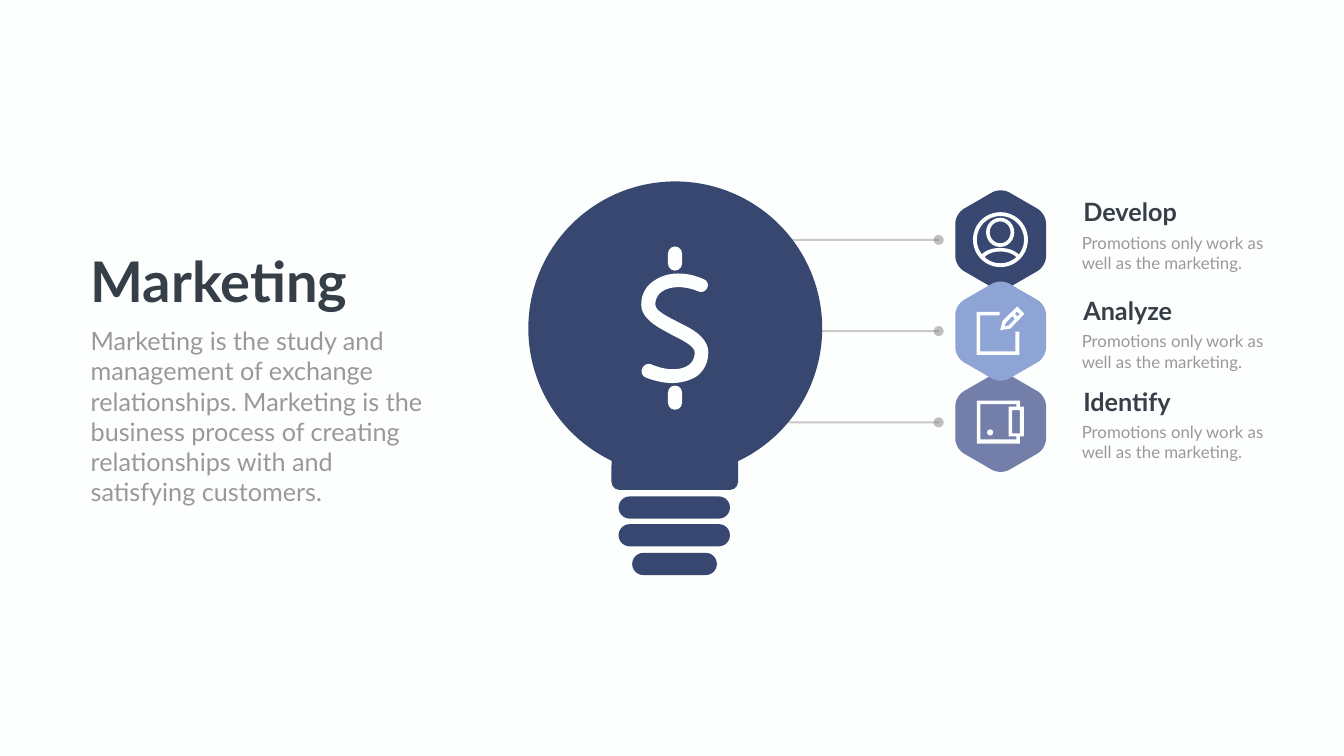
"""Build the Marketing slide: a light bulb with three steps beside it."""
import math

import pptx
import pptx.dml.color
import pptx.enum.shapes
import pptx.oxml
import pptx.oxml.ns
import pptx.util
from lxml import etree

COLORS = {
    "paper": "FDFFFE", "navy": "37476F", "sky": "8EA4D5", "slate": "747FA9",
    "heading": "363E48", "body": "999999", "leader": "949494", "dot": "808080",
}
COLORS = {name: pptx.dml.color.RGBColor.from_string(code) for name, code in COLORS.items()}
PRESET = pptx.enum.shapes.MSO_SHAPE
qn = pptx.oxml.ns.qn

prs = pptx.Presentation()
prs.slide_width = pptx.util.Inches(26.66)
prs.slide_height = pptx.util.Inches(15)
column = prs.slide_width / 26.66
row = prs.slide_height / 15
slide = prs.slides.add_slide(prs.slide_layouts[6])
slide.background.fill.solid()
slide.background.fill.fore_color.rgb = COLORS["paper"]


def add_preset(kind, left, top, width, height, color, *adjustments):
    """Draw a plain preset shape placed in columns and rows."""
    shape = slide.shapes.add_shape(
        kind, round(left * column), round(top * row), round(width * column), round(height * row))
    for index, value in enumerate(adjustments):
        shape.adjustments[index] = value
    shape.fill.solid()
    shape.fill.fore_color.rgb = COLORS[color]
    shape.line.fill.background()
    shape.shadow.inherit = False
    return shape


def add_outline(contours, color):
    """Fill closed contours of points (x, y) and Bezier curves (x1, y1, x2, y2, x, y)."""
    builder = None
    for start, *segments in contours:
        points = [start]
        for segment in segments:
            if len(segment) == 2:
                points.append(segment)
                continue
            corners = [points[-1], segment[:2], segment[2:4], segment[4:]]
            for step in range(1, 13):
                t = step / 12
                weights = [math.comb(3, k) * t**k * (1 - t) ** (3 - k) for k in range(4)]
                points.append(tuple(
                    sum(w * corner[axis] for w, corner in zip(weights, corners)) for axis in (0, 1)))
        placed = [(round(x * column), round(y * row)) for x, y in points]
        if builder is None:
            builder = slide.shapes.build_freeform(*placed[0])
        else:
            builder.move_to(*placed[0])
        builder.add_line_segments(placed[1:], close=True)
    shape = builder.convert_to_shape()
    shape.fill.solid()
    shape.fill.fore_color.rgb = COLORS[color]
    shape.line.fill.background()
    shape.shadow.inherit = False


step_centers = [4.76 + 1.81 * index for index in range(3)]
for center in step_centers:
    leader = slide.shapes.add_connector(
        pptx.enum.shapes.MSO_CONNECTOR.STRAIGHT,
        round(14.58 * column), round(center * row), round(18.63 * column), round(center * row))
    leader.line.color.rgb = COLORS["leader"]
    leader.line.width = pptx.util.Pt(3)
    etree.SubElement(leader._element.spPr, qn("a:effectLst"))
    dot = add_preset(PRESET.OVAL, 18.52, center - 0.1, 0.2, 0.2, "dot")
    for part in (leader, dot):
        for tint in part._element.iter(qn("a:srgbClr")):
            etree.SubElement(tint, qn("a:alpha"), val="50000")

for left, top, width in [(12.27, 9.85, 2.21), (12.27, 10.4, 2.21), (12.54, 10.97, 1.68)]:
    add_preset(PRESET.ROUNDED_RECTANGLE, left, top, width, 0.44, "navy", 0.5)
add_preset(PRESET.OVAL, 10.48, 3.6, 5.83, 5.83, "navy")
add_preset(PRESET.ROUND_2_SAME_RECTANGLE, 12.13, 9.14, 2.51, 0.58, "navy", 0, 0.27)

dollar_curve = [
    (13.33, 7.6), (13.17, 7.6, 12.99, 7.56, 12.81, 7.49),
    (12.74, 7.46, 12.71, 7.38, 12.74, 7.31), (12.77, 7.24, 12.85, 7.2, 12.92, 7.23),
    (13.2, 7.35, 13.48, 7.36, 13.65, 7.25), (13.74, 7.19, 13.78, 7.1, 13.78, 6.99),
    (13.78, 6.87, 13.54, 6.75, 13.32, 6.64), (13.2, 6.57, 13.05, 6.5, 12.94, 6.41),
    (12.8, 6.3, 12.72, 6.18, 12.72, 6.04), (12.72, 5.84, 12.82, 5.66, 12.99, 5.56),
    (13.24, 5.39, 13.61, 5.38, 13.96, 5.54), (14.03, 5.57, 14.06, 5.64, 14.03, 5.71),
    (14, 5.78, 13.92, 5.81, 13.85, 5.78), (13.59, 5.67, 13.3, 5.67, 13.14, 5.78),
    (13.05, 5.84, 13, 5.93, 13, 6.04), (13, 6.17, 13.24, 6.28, 13.45, 6.39),
    (13.59, 6.46, 13.73, 6.53, 13.83, 6.61), (13.98, 6.73, 14.05, 6.86, 14.05, 6.99),
    (14.05, 7.2, 13.96, 7.37, 13.8, 7.48), (13.67, 7.55, 13.51, 7.6, 13.33, 7.6),
]
add_outline([dollar_curve], "paper")
for bar_top in (4.89, 7.65):
    add_preset(PRESET.ROUNDED_RECTANGLE, 13.25, bar_top, 0.28, 0.48, "paper", 0.5)

for index, color in [(0, "navy"), (2, "slate"), (1, "sky")]:
    corners = [(19.85 + 1.04 * math.sin(k * math.pi / 3),
                step_centers[index] - 1.04 * math.cos(k * math.pi / 3)) for k in range(6)]
    hexagon = []
    for k, (x, y) in enumerate(corners):
        (before_x, before_y), (after_x, after_y) = corners[k - 1], corners[(k + 1) % 6]
        entry, control_in = [(x + s * (before_x - x), y + s * (before_y - y)) for s in (0.2, 0.08)]
        leave, control_out = [(x + s * (after_x - x), y + s * (after_y - y)) for s in (0.2, 0.08)]
        hexagon += [entry, control_in + control_out + leave]
    add_outline([hexagon], color)

add_preset(PRESET.DONUT, 19.3, 4.21, 1.09, 1.09, "paper", 0.07)
add_preset(PRESET.DONUT, 19.56, 4.32, 0.56, 0.58, "paper", 0.13)
shoulders = [
    (19.47, 5.05), (19.56, 4.96, 19.69, 4.92, 19.84, 4.92),
    (19.98, 4.92, 20.12, 4.96, 20.21, 5.05), (20.16, 5.1),
    (20.09, 5.03, 19.97, 4.99, 19.84, 4.99), (19.71, 4.99, 19.6, 5.03, 19.53, 5.1),
]
add_outline([shoulders], "paper")

note_frame = [
    (19.37, 6.19), (19.83, 6.19), (19.83, 6.26), (19.44, 6.26), (19.44, 6.97),
    (20.14, 6.97), (20.14, 6.58), (20.22, 6.58), (20.22, 7.04), (19.37, 7.04),
]
pencil = [(20.18, 6.08), (20.32, 6.23), (20.04, 6.52), (19.84, 6.55), (19.89, 6.36)]
pencil_shaft = [(20.01, 6.46), (19.93, 6.48), (19.95, 6.41), (20.08, 6.27), (20.13, 6.33)]
pencil_cap = [(20.18, 6.28), (20.13, 6.22), (20.17, 6.18), (20.23, 6.23)]
add_outline([note_frame], "paper")
add_outline([pencil, pencil_shaft, pencil_cap], "paper")

wallet = [
    (19.38, 7.95), (20.23, 7.95), (20.23, 8.07), (20.31, 8.07),
    (20.31, 8.66), (20.23, 8.66), (20.23, 8.8), (19.38, 8.8),
]
wallet_pocket = [
    (19.45, 8.02), (20.16, 8.02), (20.16, 8.07), (20.01, 8.07),
    (20.01, 8.66), (20.16, 8.66), (20.16, 8.72), (19.45, 8.72),
]
wallet_clasp = [(20.08, 8.14), (20.23, 8.14), (20.23, 8.6), (20.08, 8.6)]
add_outline([wallet, wallet_pocket, wallet_clasp], "paper")
add_preset(PRESET.OVAL, 19.58, 8.52, 0.12, 0.12, "paper")

summary = ("Marketing is the study and management of exchange relationships. Marketing is the "
           "business process of creating relationships with and satisfying customers.")
promotion = "Promotions only work as well as the marketing."
texts = [
    ("Marketing", 1.7, 4.85, 7.05, 1.45, 80, "heading"),
    (summary, 1.7, 6.41, 6.86, 3.74, 36, "body"),
]
for step, top in [("Develop", 3.85), ("Analyze", 5.81), ("Identify", 7.61)]:
    texts.append((step, 21.39, top, 2.61, 0.71, 36, "heading"))
    texts.append((promotion, 21.36, top + 0.71, 4.02, 0.91, 24, "body"))

for wording, left, top, width, height, size, color in texts:
    box = slide.shapes.add_textbox(
        round(left * column), round(top * row), round(width * column), round(height * row))
    box.text_frame.word_wrap = True
    paragraph = box.text_frame.paragraphs[0]
    paragraph.text = wording
    paragraph.font.name = "Lato"
    paragraph.font.size = pptx.util.Pt(size)
    paragraph.font.bold = color == "heading"
    paragraph.font.color.rgb = COLORS[color]

prs.save("out.pptx")
